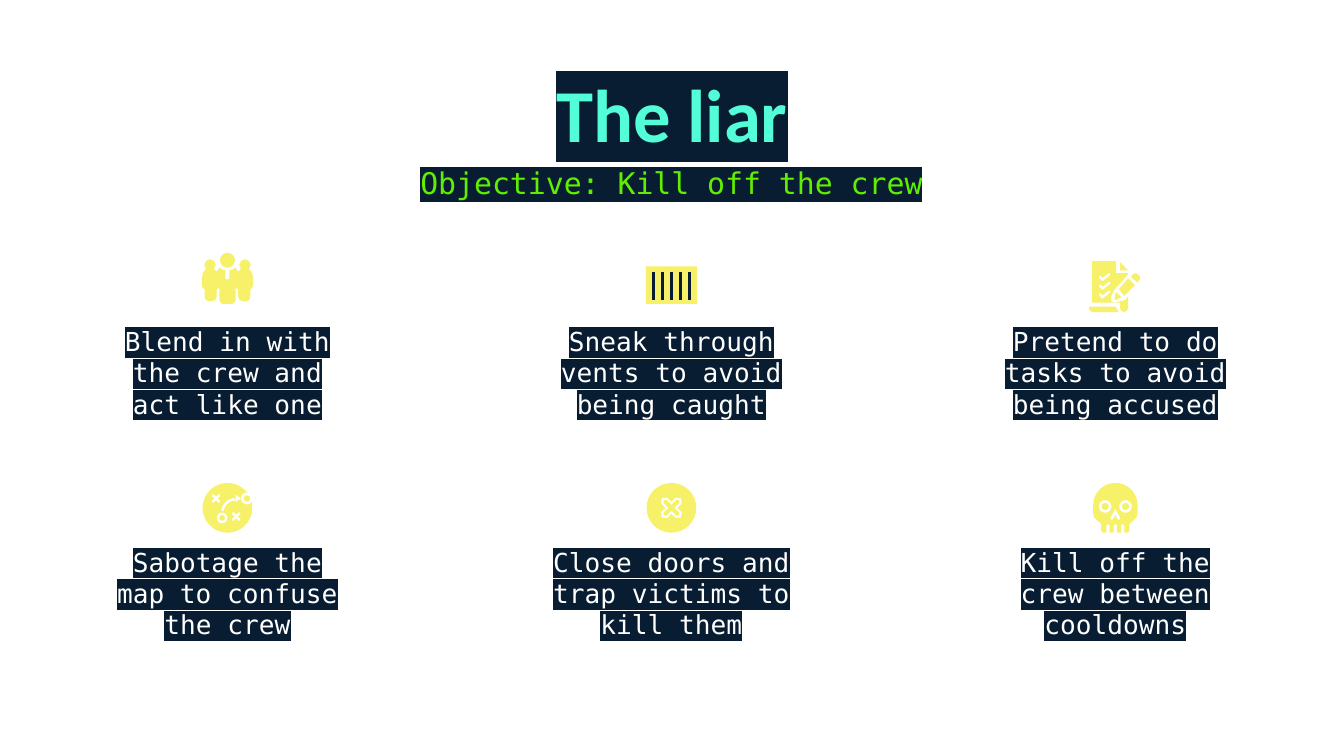
from dataclasses import dataclass
from math import cos, radians, sin

from lxml.etree import SubElement
from pptx import Presentation
from pptx.dml.color import RGBColor
from pptx.enum.shapes import MSO_CONNECTOR, MSO_SHAPE
from pptx.enum.text import MSO_ANCHOR, PP_ALIGN
from pptx.oxml.ns import qn
from pptx.util import Cm, Pt

# Content, row by row: icon name and tip
TITLE = "The liar"
OBJECTIVE = "Objective: Kill off the crew"
TIPS = [
    [("crew", "Blend in with the crew and act like one"),
     ("vent", "Sneak through vents to avoid being caught"),
     ("tasks", "Pretend to do tasks to avoid being accused")],
    [("map", "Sabotage the map to confuse the crew"),
     ("door", "Close doors and trap victims to kill them"),
     ("skull", "Kill off the crew between cooldowns")],
]


@dataclass(frozen=True)
class Theme:
    """Colours, and text styles as typeface, size, colour, bold."""
    navy: str = "081D32"
    yellow: str = "F7F169"
    bar_width: float = 1.5
    title: tuple = ("Calibri", 40, "53FDD8", True)
    objective: tuple = ("DejaVu Sans Mono", 16, "60EF01", False)
    body: tuple = ("DejaVu Sans Mono", 14, "FFFFFF", False)


THEME = Theme()

# Layout in centimetres; icons are drawn in units around their own centre
LEFT, PITCH, TIP_WIDTH, TIP_HEIGHT = 2.0, 8.39, 4.6, 2.31
TIP_TOPS = (5.9, 10.07)
ICON_CENTRES = (5.34, 9.6)
ICON_UNIT = 0.0254


# Outline helpers: each returns the points of one contour in icon units
def arc(x, y, radius, start=0, end=360, steps=32):
    angles = [radians(start + (end - start) * i / steps) for i in range(steps + 1)]
    return [(x + radius * cos(a), y + radius * sin(a)) for a in angles]


def mirrored(half):
    """Close a right half with its reflection in the vertical axis."""
    return half + [(-x, y) for x, y in reversed(half)]


def stroke(points, radius):
    """Outline of a thick line with tapered ends."""
    nodes = [complex(*point) for point in points]
    steps = [(b - a) / abs(b - a) for a, b in zip(nodes, nodes[1:])]
    left, right = [], []
    for node, before, after in zip(nodes, steps[:1] + steps, steps + steps[-1:]):
        turn = (before * after.conjugate()).real
        offset = 1j * radius * (before + after) / (1 + turn)
        left.append(node + offset)
        right.append(node - offset)
    start_tip = nodes[0] - steps[0] * radius
    end_tip = nodes[-1] + steps[-1] * radius
    outline = left + [end_tip] + right[::-1] + [start_tip]
    return [(node.real, node.imag) for node in outline]


def cross(x, y, arm, half_width):
    """Diagonal cross: one arm, turned by a quarter four times."""
    outline = []
    for quarter in range(4):
        ahead = complex(cos(radians(45)), sin(radians(45))) * 1j ** quarter
        side = ahead * 1j * half_width
        outline += [ahead * arm - side, ahead * (arm + half_width * 0.8),
                    ahead * arm + side, ahead * half_width + side]
    return [(x + node.real, y + node.imag) for node in outline]


# Icons: each function returns shapes, a shape being an outer contour and its holes
def crew_icon():
    middle_head = arc(0, -16.5, 5.5)
    right_half = [
        (0, -2), (1.5, -3), (1.5, -9), (4, -9.7), (6, -11), (8, -8), (10, -10),
        (8.8, -13), (10, -16), (13, -17.3), (16, -16), (17.3, -13), (16, -10),
        (18, -8), (19, -4), (19, 2), (18.4, 4), (17, 5), (17, 11), (16, 13.2),
        (14, 14), (12, 14), (9.2, 13.2), (8, 11), (8, 5), (6, 4), (6, 13),
        (5, 15.3), (3, 16), (0, 16)]
    return [[middle_head], [mirrored(right_half)]]


def tasks_icon():
    sheet = [
        (-17.5, -16), (0.5, -16), (0.5, -7), (9.5, -7), (9.5, -6), (-0.5, 5),
        (-3.5, 11), (-3, 14), (-0.5, 15), (7.5, 13), (9.5, 10), (9.5, 19),
        (8.5, 21), (6.5, 22), (4.5, 21), (3.5, 19), (3.5, 15), (-17.5, 15)]
    checks = [stroke([(-11.5, y), (-9.5, y + 2), (-4.5, y - 2)], 1)
              for y in (-4.2, 2.3, 8.8)]
    fold = [(3.5, -15), (9.5, -9), (3.5, -9)]
    roll = [(-19.5, 18), (0.5, 18), (0.5, 19), (2.5, 22), (-17.5, 22), (-19.5, 20)]
    eraser = [(14.5, -7), (16, -6.5), (18, -5), (18.5, -3.5), (18, -2),
              (16.5, 0), (11.5, -4), (13, -6)]
    shaft = [(9.5, -3), (14.5, 2), (6.5, 10), (2.5, 5)]
    tip = [(0.5, 7), (4.5, 11), (0.5, 13), (-0.5, 12.5), (-0.5, 11)]
    return [[sheet, *checks], [eraser], [tip], [shaft], [fold], [roll]]


def map_icon():
    start, goal = (-4, 7.5), (14.5, -7)
    notched_disc = arc(0, 0, 18.5, -16, 324) + arc(*goal, 4.5, 277, 30)
    marks = [cross(x, y, 3.4, 1) for x, y in ((-8.5, -7), (6.5, 6.5))]
    route = stroke(arc(6, 3.5, 9.8, 190, 265, 12), 1)
    arrowhead = [(6, -10), (10, -7), (6, -4)]
    return [[notched_disc, *marks, arc(*start, 4), route, arrowhead],
            [arc(*start, 2)], [arc(*goal, 2.3)]]


def door_icon():
    return [[arc(0, 0, 18.5), cross(0, 0, 7.6, 3.2)], [cross(0, 0, 6.8, 1.5)]]


def skull_icon():
    right_half = arc(0, -2, 16.5, -90, 0, 12) + [
        (16.5, 4), (15.8, 7), (14, 9), (10.5, 12), (10.5, 17), (9.5, 18.5),
        (6.7, 18.5), (6.7, 13), (5.5, 12), (4.3, 13), (4.3, 18.5), (1.2, 18.5),
        (1.2, 13), (0, 12)]
    nose = stroke([(-2.7, 8), (0, 3), (2.7, 8)], 1.1)
    eyes = [(-7.6, -1), (7.6, -1)]
    sockets = [arc(x, y, 4.7) for x, y in eyes]
    pupils = [[arc(x, y, 2.6)] for x, y in eyes]
    return [[mirrored(right_half), nose, *sockets], *pupils]


ICONS = {"crew": crew_icon(), "tasks": tasks_icon(), "map": map_icon(),
         "door": door_icon(), "skull": skull_icon()}


# Drawing
def set_all(target, values):
    for name, value in values.items():
        setattr(target, name, value)


def add_text(page, text, style, left, top, width, height,
             side=0, anchor=MSO_ANCHOR.TOP, after=0):
    box = page.shapes.add_textbox(Cm(left), Cm(top), Cm(width), Cm(height))
    set_all(box.text_frame, {
        "word_wrap": True, "vertical_anchor": anchor,
        "margin_left": Cm(side), "margin_right": Cm(side),
        "margin_top": Cm(0.25), "margin_bottom": Cm(0.25)})
    paragraph = box.text_frame.paragraphs[0]
    set_all(paragraph, {"alignment": PP_ALIGN.CENTER, "space_after": Pt(after)})
    span = paragraph.add_run()
    span.text = text
    family, size, colour, bold = style
    span.font.color.rgb = RGBColor.from_string(colour)
    # The highlight must come after the fill and before the typeface
    highlight = SubElement(span.font._element, qn("a:highlight"))
    SubElement(highlight, qn("a:srgbClr"), val=THEME.navy)
    set_all(span.font, {"name": family, "size": Pt(size), "bold": bold})


def paint(shape):
    shape.shadow.inherit = False
    shape.fill.solid()
    shape.fill.fore_color.rgb = RGBColor.from_string(THEME.yellow)
    shape.line.fill.background()


def draw_vent(group, place):
    plate = group.shapes.add_shape(
        MSO_SHAPE.RECTANGLE, *place(-19, -12), Cm(38 * ICON_UNIT), Cm(28 * ICON_UNIT))
    paint(plate)
    for i in range(5):
        x = -13.5 + 6.75 * i
        bar = group.shapes.add_connector(
            MSO_CONNECTOR.STRAIGHT, *place(x, -8), *place(x, 13))
        bar.line.color.rgb = RGBColor.from_string(THEME.navy)
        bar.line.width = Pt(THEME.bar_width)
        SubElement(bar._element.spPr, qn("a:effectLst"))


def draw_outlines(group, place, shapes):
    for contours in shapes:
        first, *holes = [[place(*point) for point in contour] for contour in contours]
        builder = group.shapes.build_freeform(*first[0])
        builder.add_line_segments(first[1:])
        for hole in holes:
            builder.move_to(*hole[0])
            builder.add_line_segments(hole[1:])
        paint(builder.convert_to_shape())


def add_icon(page, name, centre_x, centre_y):
    def place(x, y):
        return Cm(centre_x + x * ICON_UNIT), Cm(centre_y + y * ICON_UNIT)

    group = page.shapes.add_group_shape()
    if name == "vent":
        draw_vent(group, place)
    else:
        draw_outlines(group, place, ICONS[name])


def main():
    deck = Presentation()
    deck.slide_width, deck.slide_height = Cm(25.4), Cm(14.29)
    page = deck.slides.add_slide(deck.slide_layouts[6])
    # Heading
    add_text(page, TITLE, THEME.title, 2, 1.03, 21.4, 1.6, side=0.25)
    add_text(page, OBJECTIVE, THEME.objective, 7.8, 3.16, 9.78, 0.58,
             anchor=MSO_ANCHOR.MIDDLE)
    # Tips under their icons
    for row, top, icon_y in zip(TIPS, TIP_TOPS, ICON_CENTRES):
        for column, (icon, tip) in enumerate(row):
            left = LEFT + PITCH * column
            add_text(page, tip, THEME.body, left, top, TIP_WIDTH, TIP_HEIGHT, after=16)
            add_icon(page, icon, left + TIP_WIDTH / 2, icon_y)
    deck.save("out.pptx")


if __name__ == "__main__":
    main()
